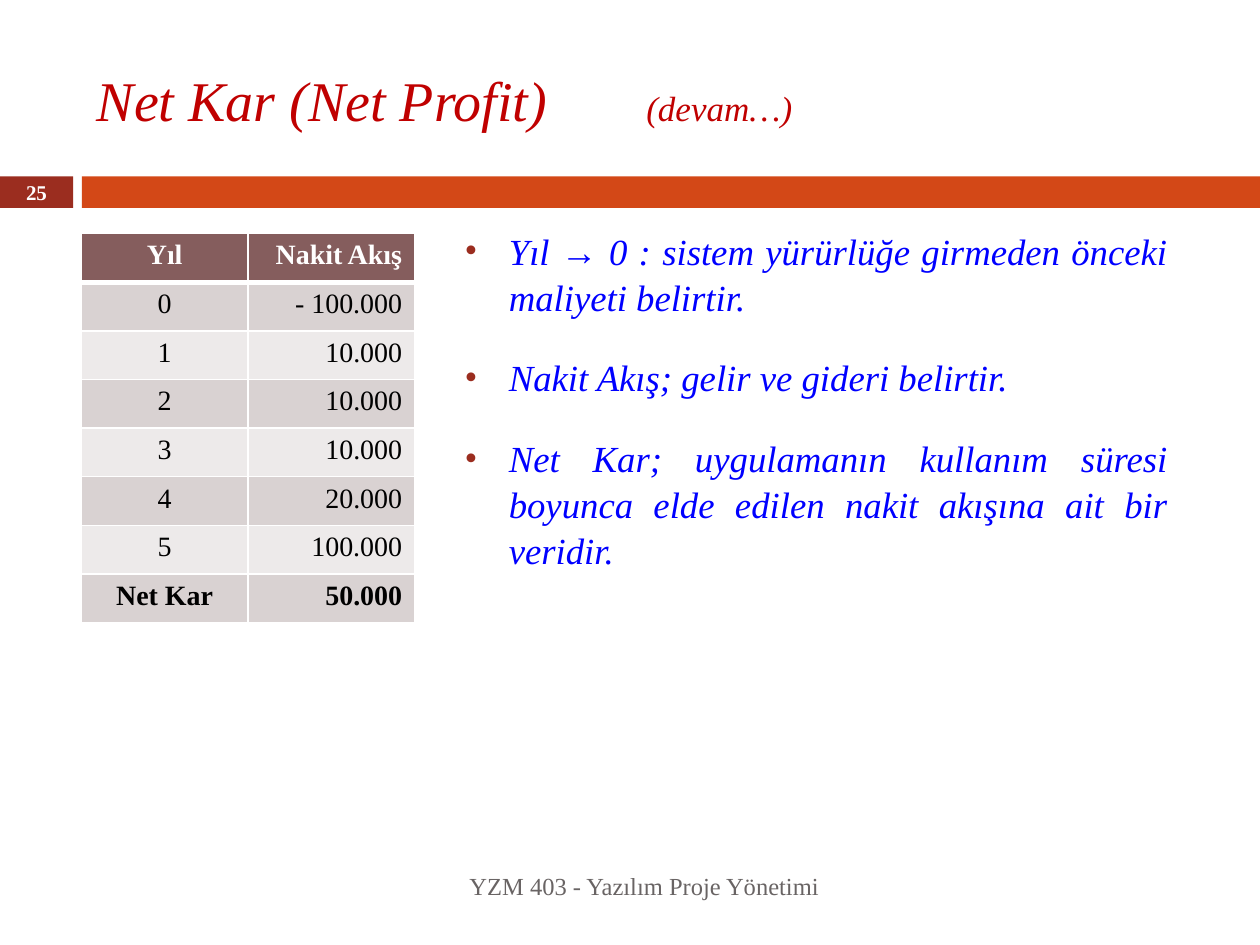
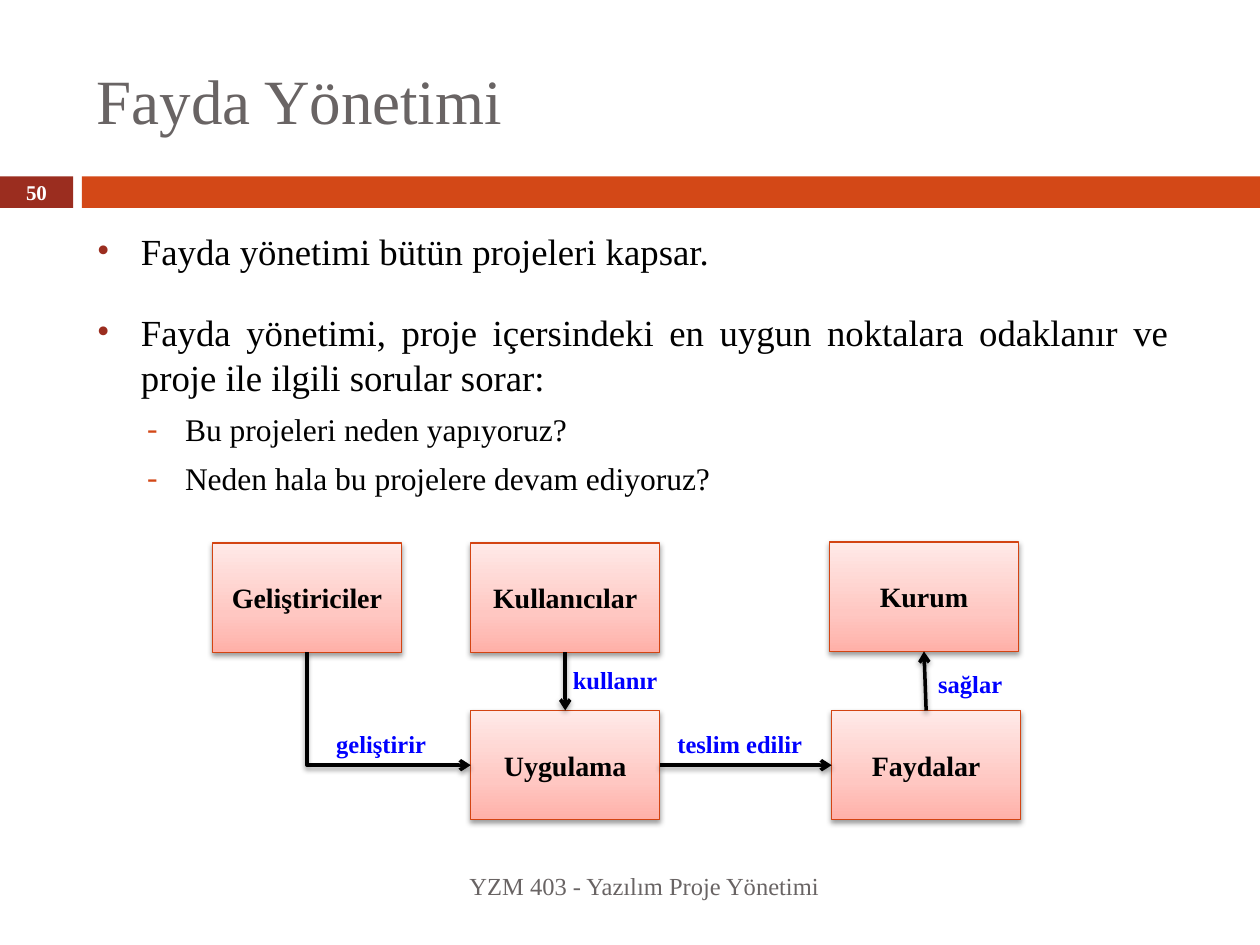
from copy import deepcopy

from lxml import etree
from pptx import Presentation
from pptx.dml.color import RGBColor
from pptx.enum import shapes, text
from pptx.oxml import ns
from pptx.util import Pt

FONT = "Times New Roman"
WHITE = RGBColor(0xFF, 0xFF, 0xFF)
BLACK = RGBColor(0, 0, 0)
BLUE = RGBColor(0, 0, 0xFF)
RED = RGBColor(0xC0, 0, 0)
GRAY = RGBColor(0x69, 0x64, 0x64)
BRICK = RGBColor(0x9B, 0x2D, 0x1F)
ORANGE = RGBColor(0xD3, 0x48, 0x17)
BOX_LINE = RGBColor(0xD3, 0x44, 0x12)
BOX_FILL = [RGBColor(0xFF, 0xB0, 0xA8), RGBColor(0xFF, 0xC7, 0xC2), RGBColor(0xFF, 0xEA, 0xE8)]
HEADER_FILL = RGBColor(0x85, 0x5D, 0x5D)
ROW_FILLS = [RGBColor(0xED, 0xEA, 0xEA), RGBColor(0xD9, 0xD2, 0xD2)]
LEFT, CENTER, RIGHT, JUSTIFY = (
    text.PP_ALIGN.LEFT, text.PP_ALIGN.CENTER, text.PP_ALIGN.RIGHT, text.PP_ALIGN.JUSTIFY)
MIDDLE = text.MSO_ANCHOR.MIDDLE
SHADOW = (
    '<a:effectLst><a:outerShdw blurRad="39370" dist="20320" dir="5400000" rotWithShape="0">'
    '<a:srgbClr val="000000"><a:alpha val="38000"/></a:srgbClr></a:outerShdw></a:effectLst>')


def add_xml(parent, markup):
    name, rest = markup[1:].split(":", 1)
    wrapped = f'<root xmlns:a="{ns.namespaces("a")["a"]}">{markup}</root>'
    for child in list(etree.fromstring(wrapped)):
        parent.append(child)


def write(para, words, size, color, align=LEFT, bold=False, italic=False):
    para.add_run().text = words
    para.alignment = align
    font = para.font
    font.name, font.size, font.bold, font.italic = FONT, Pt(size), bold, italic
    font.color.rgb = color


deck = Presentation()
deck.slide_width, deck.slide_height = Pt(720), Pt(540)

page_specs = [
    ("25", "Net Kar (Net Profit)", 32, RED, True, (258.5, 126, 416, 228), [
        (0, "Yıl → 0 : sistem yürürlüğe girmeden önceki maliyeti belirtir."),
        (0, "Nakit Akış; gelir ve gideri belirtir."),
        (0, "Net Kar; uygulamanın kullanım süresi boyunca elde edilen nakit akışına ait bir veridir."),
    ], BLUE),
    ("50", "Fayda Yönetimi", 36, GRAY, False, (48.25, 126, 627, 172), [
        (0, "Fayda yönetimi bütün projeleri kapsar."),
        (0, "Fayda yönetimi, proje içersindeki en uygun noktalara odaklanır ve proje ile ilgili sorular sorar:"),
        (1, "Bu projeleri neden yapıyoruz?"),
        (1, "Neden hala bu projelere devam ediyoruz?"),
    ], BLACK),
]
bullet_styles = [("•", 21, 20, 25.2, 25.2, BRICK), ("-", 18, 5.5, 50.4, 21.6, ORANGE)]

pages = []
for number, title, title_size, title_color, italic, body_place, bullets, body_color in page_specs:
    page = deck.slides.add_slide(deck.slide_layouts[6])
    pages.append(page)

    for left, width, color, words in [(0, 41.75, BRICK, number), (46.75, 673.25, ORANGE, "")]:
        band = page.shapes.add_shape(
            shapes.MSO_SHAPE.RECTANGLE, Pt(left), Pt(100.8), Pt(width), Pt(18))
        band.shadow.inherit = False
        band.fill.solid()
        band.fill.fore_color.rgb = color
        band.line.fill.background()
        if words:
            frame = band.text_frame
            frame.margin_top = frame.margin_bottom = 0
            frame.vertical_anchor = MIDDLE
            write(frame.paragraphs[0], words, 12, WHITE, CENTER, bold=True)

    for words, place, size, color, align, slanted in [
        (title, (48.25, 18, 642.25, 77.75), title_size, title_color, LEFT, italic),
        ("YZM 403 - Yazılım Proje Yönetimi", (48.25, 491.75, 427, 28.8), 14, GRAY, RIGHT, False),
    ]:
        box = page.shapes.add_textbox(*map(Pt, place))
        box.text_frame.word_wrap = True
        box.text_frame.vertical_anchor = MIDDLE
        write(box.text_frame.paragraphs[0], words, size, color, align, italic=slanted)

    body = page.shapes.add_textbox(*map(Pt, body_place)).text_frame
    body.word_wrap = True
    for index, (level, words) in enumerate(bullets):
        mark, size, gap, margin, hang, mark_color = bullet_styles[level]
        para = body.add_paragraph() if index else body.paragraphs[0]
        para.level = level
        para.line_spacing = 1.04
        para.space_before = Pt(gap if index else 0)
        properties = para._p.get_or_add_pPr()
        properties.set("marL", str(Pt(margin)))
        properties.set("indent", str(-Pt(hang)))
        add_xml(properties, f'<a:buClr><a:srgbClr val="{mark_color}"/></a:buClr>'
                            f'<a:buFont typeface="{FONT}"/><a:buChar char="{mark}"/>')
        write(para, words, size, body_color, JUSTIFY, italic=italic)

profit_page, benefit_page = pages

title_para = profit_page.shapes[2].text_frame.paragraphs[0]
span = title_para.add_run()
span.text = "\t(devam…)"
span.font.size = Pt(20)
title_properties = title_para._p.get_or_add_pPr()
add_xml(title_properties, f'<a:tabLst><a:tab pos="{Pt(314)}" algn="l"/></a:tabLst>')
title_properties.insert(0, title_properties[-1])

cash_flow = [
    ("Yıl", "Nakit Akış"), ("0", "- 100.000"), ("1", "10.000"), ("2", "10.000"),
    ("3", "10.000"), ("4", "20.000"), ("5", "100.000"), ("Net Kar", "50.000"),
]
table = profit_page.shapes.add_table(
    len(cash_flow), 2, Pt(46.5), Pt(133.5), Pt(190.5), Pt(222.4)).table
for row, values in enumerate(cash_flow):
    table.rows[row].height = Pt(27.8)
    for column, value in enumerate(values):
        cell = table.cell(row, column)
        for side in "LRTB":
            heavy = (row, side) in [(0, "B"), (1, "T")]
            add_xml(cell._tc.get_or_add_tcPr(),
                    f'<a:ln{side} w="{Pt(3 if heavy else 1)}"><a:solidFill>'
                    f'<a:srgbClr val="{WHITE}"/></a:solidFill></a:ln{side}>')
        cell.fill.solid()
        cell.fill.fore_color.rgb = ROW_FILLS[row % 2] if row else HEADER_FILL
        write(cell.text_frame.paragraphs[0], value, 16, BLACK if row else WHITE,
              RIGHT if column else CENTER, bold=row in (0, len(cash_flow) - 1))

boxes = {}
for name, left, top in [
    ("Uygulama", 269, 406), ("Geliştiriciler", 121.5, 310.25), ("Kullanıcılar", 269, 310.25),
    ("Faydalar", 475.25, 406), ("Kurum", 474, 309.75),
]:
    box = benefit_page.shapes.add_shape(
        shapes.MSO_SHAPE.RECTANGLE, Pt(left), Pt(top), Pt(108), Pt(62.5))
    box.fill.gradient()
    box.fill.gradient_angle = 90
    stop_list = box.fill._fill._gradFill.gsLst
    stop_list.insert(1, deepcopy(stop_list[0]))
    for stop, color, position in zip(box.fill.gradient_stops, BOX_FILL, (0, 0.35, 1)):
        stop.color.rgb = color
        stop.position = position
    box.line.color.rgb = BOX_LINE
    box.line.width = Pt(0.75)
    add_xml(box._element.spPr, SHADOW)
    box.text_frame.word_wrap = False
    box.text_frame.vertical_anchor = MIDDLE
    write(box.text_frame.paragraphs[0], name, 16, BLACK, CENTER, bold=True)
    boxes[name] = box

TOP_SITE, LEFT_SITE, BOTTOM_SITE, RIGHT_SITE = range(4)
for source, source_site, target, target_site, label, left, top, width in [
    ("Geliştiriciler", BOTTOM_SITE, "Uygulama", LEFT_SITE, "geliştirir", 185, 413.25, 85),
    ("Kullanıcılar", BOTTOM_SITE, "Uygulama", TOP_SITE, "kullanır", 320.25, 376.5, 85),
    ("Uygulama", RIGHT_SITE, "Faydalar", LEFT_SITE, "teslim edilir", 380, 413.25, 118),
    ("Faydalar", TOP_SITE, "Kurum", BOTTOM_SITE, "sağlar", 529, 378.75, 85),
]:
    bent = source == "Geliştiriciler"
    kind = shapes.MSO_CONNECTOR.ELBOW if bent else shapes.MSO_CONNECTOR.STRAIGHT
    arrow = benefit_page.shapes.add_connector(kind, 0, 0, 0, 0)
    arrow.begin_connect(boxes[source], source_site)
    arrow.end_connect(boxes[target], target_site)
    if bent:
        across, down = arrow.width, arrow.height
        shift = (across - down) // 2
        arrow.left, arrow.top = arrow.left + shift, arrow.top - shift
        arrow.width, arrow.height = down, across
        frame = arrow._element.spPr.find(ns.qn("a:xfrm"))
        frame.set("rot", "16200000")
        frame.set("flipH", "1")
        arrow._element.spPr.find(ns.qn("a:prstGeom")).set("prst", "bentConnector2")
    arrow.line.color.rgb = BLACK
    arrow.line.width = Pt(2)
    add_xml(arrow.line._get_or_add_ln(), '<a:tailEnd type="arrow"/>')
    add_xml(arrow._element.spPr, SHADOW)

    caption = benefit_page.shapes.add_textbox(Pt(left), Pt(top), Pt(width), Pt(24.5))
    caption.text_frame.word_wrap = True
    write(caption.text_frame.paragraphs[0], label, 14, BLUE, bold=True)

deck.save("out.pptx")
